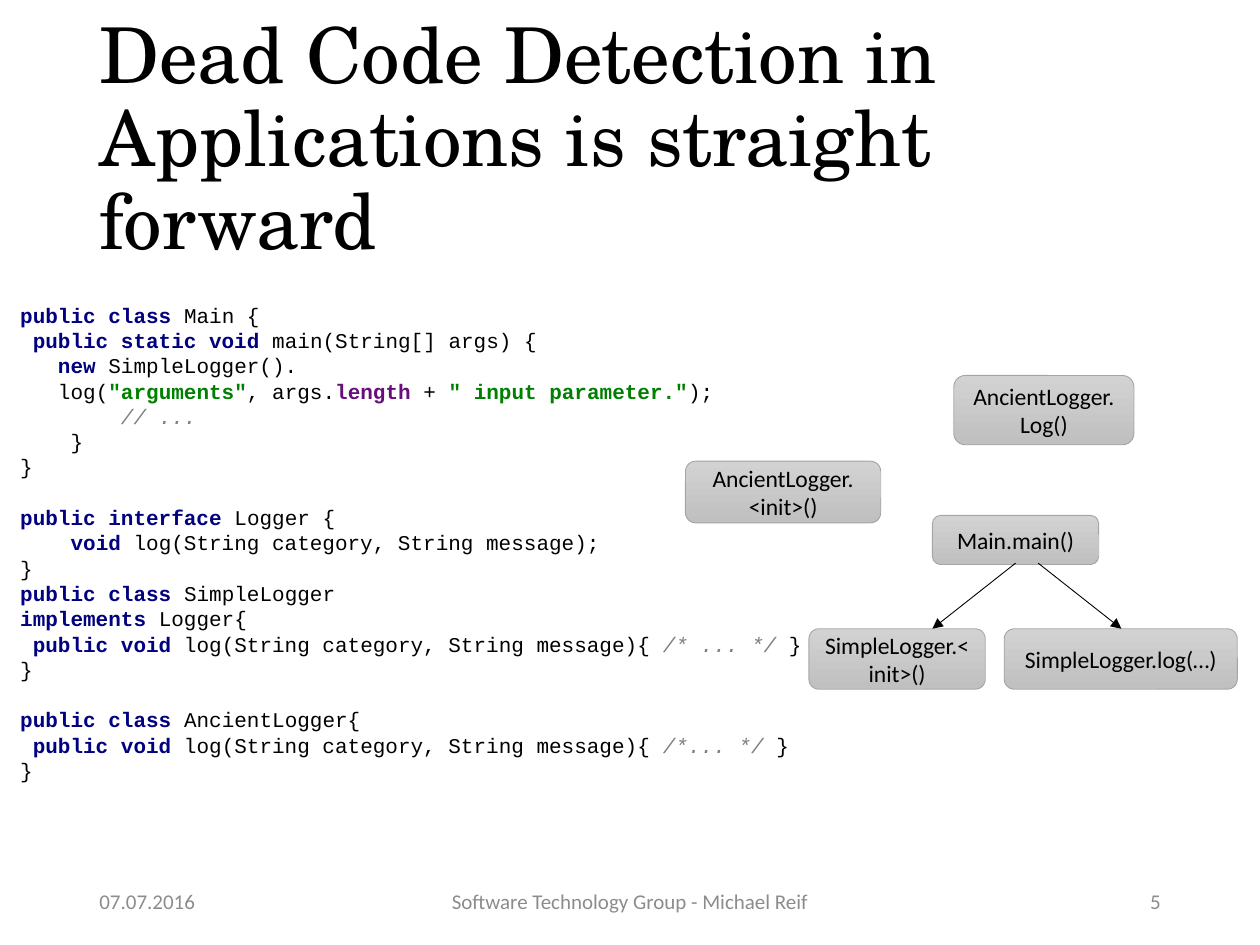
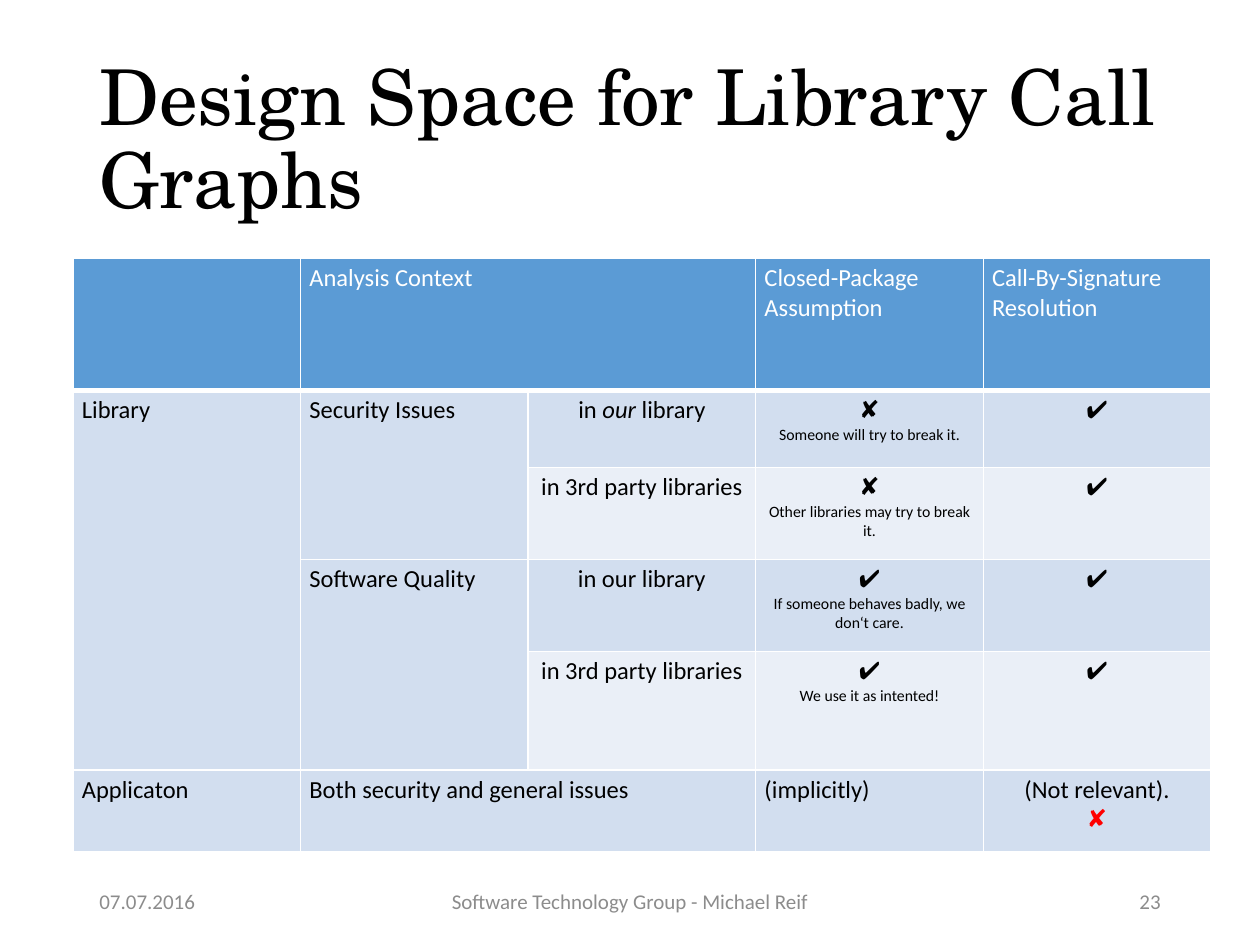
from lxml import etree
from pptx import Presentation
from pptx.dml.color import RGBColor
from pptx.enum.shapes import MSO_CONNECTOR, MSO_SHAPE
from pptx.enum.text import MSO_ANCHOR, MSO_AUTO_SIZE, PP_ALIGN
from pptx.oxml.ns import qn
from pptx.util import Inches, Pt

LEFT, CENTER, RIGHT = PP_ALIGN.LEFT, PP_ALIGN.CENTER, PP_ALIGN.RIGHT
MIDDLE = MSO_ANCHOR.MIDDLE
NO_FIT = MSO_AUTO_SIZE.NONE
RECT, ROUND_RECT = MSO_SHAPE.RECTANGLE, MSO_SHAPE.ROUNDED_RECTANGLE
STRAIGHT = MSO_CONNECTOR.STRAIGHT

COLORS = {
    "black": "000000", "white": "FFFFFF", "footer": "8C8C8C",
    "keyword": "000080", "string": "008000", "field": "660E7A", "comment": "808080",
    "node_top": "D2D2D2", "node_bottom": "C0C0C0", "node_line": "A5A5A5",
    "header": "5B9BD5", "band": "D2DEEF", "light_band": "EAEFF7", "red": "FF0000",
}
TITLE_FONT, BODY_FONT, CODE_FONT = "TeX Gyre Schola", "Calibri", "Courier New"
TITLE_BOX = (0.69, 0.4, 8.62, 1.45)
FOOTER_TOP, FOOTER_HEIGHT = 6.95, 0.4
CODE_SIZE, CODE_LINE, CHAR_WIDTH = 12, 14.45, 0.1

CODE_STYLES = {
    "plain": {},
    "kw": {"color": "keyword", "bold": True},
    "str": {"color": "string", "bold": True},
    "field": {"color": "field", "bold": True},
    "note": {"color": "comment", "italic": True},
}
CODE_BLOCKS = [
    [
        (0, [("kw", "public class "), ("plain", "Main {")]),
        (1, [("kw", "public static void "), ("plain", "main(String[] args) {")]),
        (3, [("kw", "new "), ("plain", "SimpleLogger().")]),
        (3, [("plain", "log("), ("str", '"arguments"'), ("plain", ", args."),
             ("field", "length "), ("plain", "+ "), ("str", '" input parameter."'),
             ("plain", ");")]),
        (8, [("note", "// ...")]),
        (4, [("plain", "}")]),
        (0, [("plain", "}")]),
    ],
    [
        (0, [("kw", "public interface "), ("plain", "Logger {")]),
        (4, [("kw", "void "), ("plain", "log(String category, String message);")]),
        (0, [("plain", "}")]),
        (0, [("kw", "public class "), ("plain", "SimpleLogger")]),
        (0, [("kw", "implements "), ("plain", "Logger{")]),
        (1, [("kw", "public void "), ("plain", "log(String category, String message){ "),
             ("note", "/* ... */ "), ("plain", "}")]),
        (0, [("plain", "}")]),
    ],
    [
        (0, [("kw", "public class "), ("plain", "AncientLogger{")]),
        (1, [("kw", "public void "), ("plain", "log(String category, String message){ "),
             ("note", "/*... */ "), ("plain", "}")]),
        (0, [("plain", "}")]),
    ],
]

CALL_NODES = [
    (1.96, 1.11, 1.32, 0.39, ["Main.main()"]),
    (0.98, 2.01, 1.4, 0.48, ["SimpleLogger.<init>()"]),
    (2.53, 2.01, 1.85, 0.48, ["SimpleLogger.log(…)"]),
    (0, 0.68, 1.55, 0.49, ["AncientLogger.", "<init>()"]),
    (2.13, 0, 1.43, 0.55, ["AncientLogger.", "Log()"]),
]
CALL_EDGES = [(2.62, 1.49, 1.96, 2.01), (2.8, 1.49, 3.46, 2.01)]

YES, NO = "✔", "✘"
ROW_HEIGHTS = [1.05, 0.61, 0.73, 0.73, 0.94, 0.65]
MERGES = [(0, 1, 0, 2), (1, 0, 4, 0), (1, 1, 2, 1), (3, 1, 4, 1), (5, 1, 5, 2)]
HEADINGS = {1: "Analysis Context", 3: "Closed-Package Assumption",
            4: "Call-By-Signature Resolution"}
ROW_LABELS = {(1, 0): "Library", (1, 1): "Security Issues", (3, 1): "Software Quality",
              (5, 0): "Applicaton", (5, 1): "Both security and general issues",
              (5, 3): "(implicitly)"}
CONTEXTS = [
    ([("in ", {}), ("our", {"italic": True}), (" library", {})],
     NO, "Someone will try to break it."),
    ([("in 3rd party libraries", {})], NO, "Other libraries may try to break it."),
    ([("in our library", {})], YES, "If someone behaves badly, we don‘t care."),
    ([("in 3rd party libraries", {})], YES, "We use it as intented!"),
]


def rgb(name):
    return RGBColor.from_string(COLORS[name])


def add_text(p, text, font=BODY_FONT, size=14, color="black", bold=False,
             italic=False, align=None):
    r = p.add_run()
    r.text = text
    r.font.name, r.font.size = font, Pt(size)
    r.font.bold, r.font.italic = bold, italic
    r.font.color.rgb = rgb(color)
    if align is not None:
        p.alignment = align


def next_paragraph(tf, index):
    return tf.add_paragraph() if index else tf.paragraphs[0]


def set_margins(target, x=0.07, y=0.04):
    target.margin_left = target.margin_right = Inches(x)
    target.margin_top = target.margin_bottom = Inches(y)


def add_title(slide, text):
    title = slide.shapes.title
    title.left, title.top, title.width, title.height = map(Inches, TITLE_BOX)
    tf = title.text_frame
    tf.word_wrap, tf.auto_size, tf.vertical_anchor = True, NO_FIT, MIDDLE
    p = tf.paragraphs[0]
    p.line_spacing = 0.9
    add_text(p, text, font=TITLE_FONT, size=44, align=LEFT)


def add_footer(slide, number):
    parts = [(0.69, 2.25, "07.07.2016", LEFT),
             (3.31, 3.38, "Software Technology Group - Michael Reif", CENTER),
             (7.06, 2.25, str(number), RIGHT)]
    for left, width, text, align in parts:
        box = slide.shapes.add_textbox(Inches(left), Inches(FOOTER_TOP),
                                       Inches(width), Inches(FOOTER_HEIGHT))
        tf = box.text_frame
        tf.word_wrap, tf.vertical_anchor = True, MIDDLE
        add_text(tf.paragraphs[0], text, size=12, color="footer", align=align)


def add_slide(prs, title, number):
    slide = prs.slides.add_slide(prs.slide_layouts[5])
    add_title(slide, title)
    add_footer(slide, number)
    return slide


def add_code(slide, left, top, width, height):
    sp = slide.shapes.add_shape(RECT, *map(Inches, (left, top, width, height)))
    sp.shadow.inherit = False
    sp.fill.solid()
    sp.fill.fore_color.rgb = rgb("white")
    sp.line.fill.background()
    tf = sp.text_frame
    tf.word_wrap, tf.vertical_anchor = True, MIDDLE
    set_margins(tf)
    count = 0
    for block in CODE_BLOCKS:
        for row, (indent, tokens) in enumerate(block):
            p = next_paragraph(tf, count)
            p.line_spacing = Pt(CODE_LINE)
            if count and row == 0:
                p.space_before = Pt(CODE_LINE)
            p._p.get_or_add_pPr().set("marL", str(Inches(indent * CHAR_WIDTH)))
            for style, text in tokens:
                add_text(p, text, font=CODE_FONT, size=CODE_SIZE, align=LEFT,
                         **CODE_STYLES[style])
            count += 1


def add_node(slide, left, top, width, height, lines):
    sp = slide.shapes.add_shape(ROUND_RECT, *map(Inches, (left, top, width, height)))
    sp.shadow.inherit = False
    sp.fill.gradient()
    sp.fill.gradient_angle = 270
    for stop, name in zip(sp.fill.gradient_stops, ("node_top", "node_bottom")):
        stop.color.rgb = rgb(name)
    sp.line.color.rgb = rgb("node_line")
    sp.line.width = Pt(0.5)
    tf = sp.text_frame
    tf.word_wrap, tf.vertical_anchor = True, MIDDLE
    for i, line in enumerate(lines):
        add_text(next_paragraph(tf, i), line, size=13.5, align=CENTER)


def add_arrow(slide, x1, y1, x2, y2):
    line = slide.shapes.add_connector(STRAIGHT, *map(Inches, (x1, y1, x2, y2)))
    line.line.color.rgb = rgb("black")
    line.line.width = Pt(0.5)
    etree.SubElement(line.line._get_or_add_ln(), qn("a:tailEnd"), type="triangle")
    etree.SubElement(line._element.spPr, qn("a:effectLst"))


def add_call_graph(slide, left, top):
    for x, y, width, height, lines in CALL_NODES:
        add_node(slide, left + x, top + y, width, height, lines)
    for x1, y1, x2, y2 in CALL_EDGES:
        add_arrow(slide, left + x1, top + y1, left + x2, top + y2)


def set_borders(cell, bottom):
    tcPr = cell._tc.get_or_add_tcPr()
    for i, (side, width) in enumerate((("L", 1), ("R", 1), ("T", 1), ("B", bottom))):
        ln = etree.Element(qn(f"a:ln{side}"), w=str(Pt(width)))
        fill = etree.SubElement(ln, qn("a:solidFill"))
        etree.SubElement(fill, qn("a:srgbClr"), val=COLORS["white"])
        tcPr.insert(i, ln)


def fill_cell(cell, paragraphs, align=LEFT, **fmt):
    for i, runs in enumerate(paragraphs):
        p = next_paragraph(cell.text_frame, i)
        for text, extra in runs:
            add_text(p, text, align=align, **{**fmt, **extra})


def add_design_table(slide, left, top, width):
    rows, cols = len(ROW_HEIGHTS), 5
    frame = slide.shapes.add_table(rows, cols, Inches(left), Inches(top),
                                   Inches(width), Inches(sum(ROW_HEIGHTS)))
    table = frame.table
    table.first_row = table.horz_banding = False
    for column in table.columns:
        column.width = Inches(width / cols)
    for r, height in enumerate(ROW_HEIGHTS):
        table.rows[r].height = Inches(height)
        light = r in (2, 4)
        for c in range(cols):
            cell = table.cell(r, c)
            set_margins(cell)
            cell.fill.solid()
            name = "header" if r == 0 else "light_band" if light and c > 1 else "band"
            cell.fill.fore_color.rgb = rgb(name)
            set_borders(cell, 3 if r == 0 else 1)
    for r1, c1, r2, c2 in MERGES:
        table.cell(r1, c1).merge(table.cell(r2, c2))
    for c, text in HEADINGS.items():
        fill_cell(table.cell(0, c), [[(text, {})]], color="white")
    for (r, c), text in ROW_LABELS.items():
        fill_cell(table.cell(r, c), [[(text, {})]])
    for r, (context, mark, reason) in enumerate(CONTEXTS, 1):
        fill_cell(table.cell(r, 2), [context], align=CENTER)
        fill_cell(table.cell(r, 3), [[(mark, {})], [(reason, {"size": 9})]], align=CENTER)
        fill_cell(table.cell(r, 4), [[(YES, {})]], align=CENTER)
    fill_cell(table.cell(5, 4), [[("(Not relevant).", {})], [(NO, {"color": "red"})]],
              align=CENTER)


def main():
    prs = Presentation()
    prs.slide_width, prs.slide_height = Inches(10), Inches(7.5)
    slide = add_slide(prs, "Dead Code Detection in Applications is straight forward", 5)
    add_code(slide, 0.09, 2.35, 9.69, 3.91)
    add_call_graph(slide, 5.44, 2.98)
    slide = add_slide(prs, "Design Space for Library Call Graphs", 23)
    add_design_table(slide, 0.58, 2.05, 9.03)
    prs.save("out.pptx")


if __name__ == "__main__":
    main()
